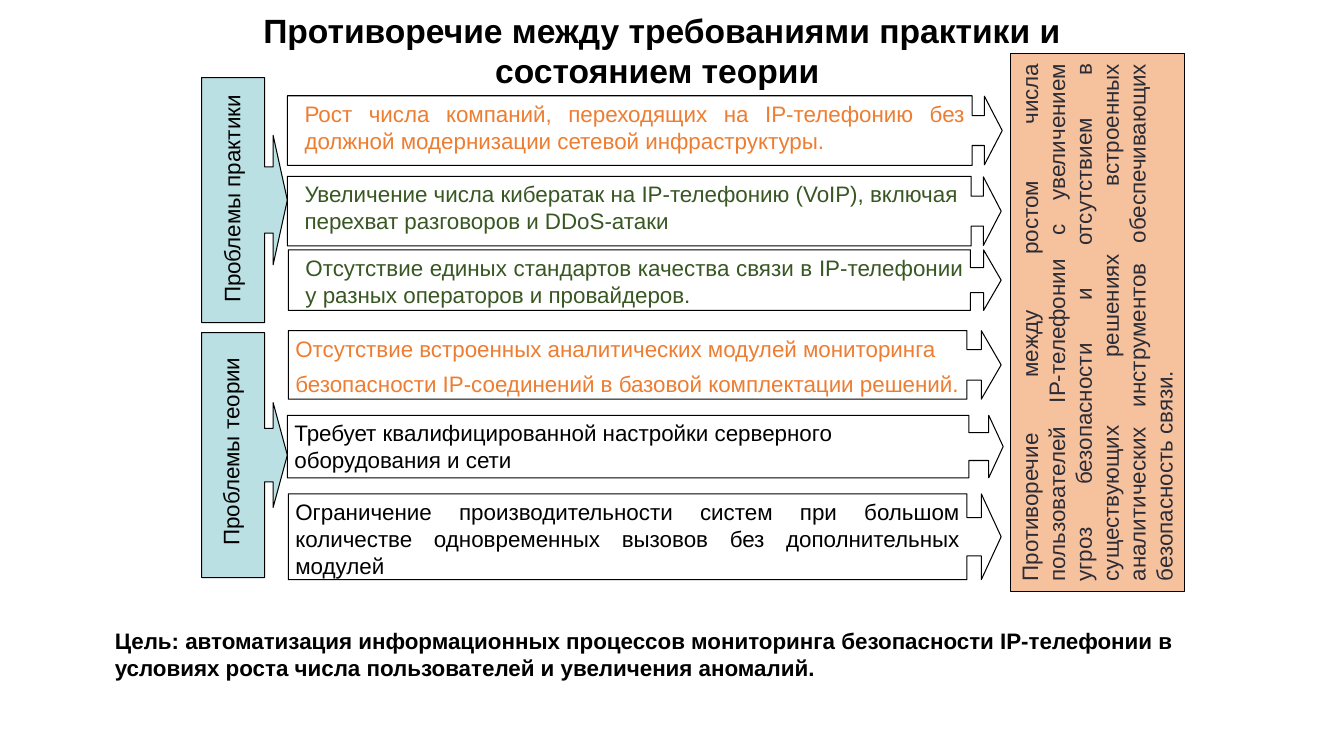
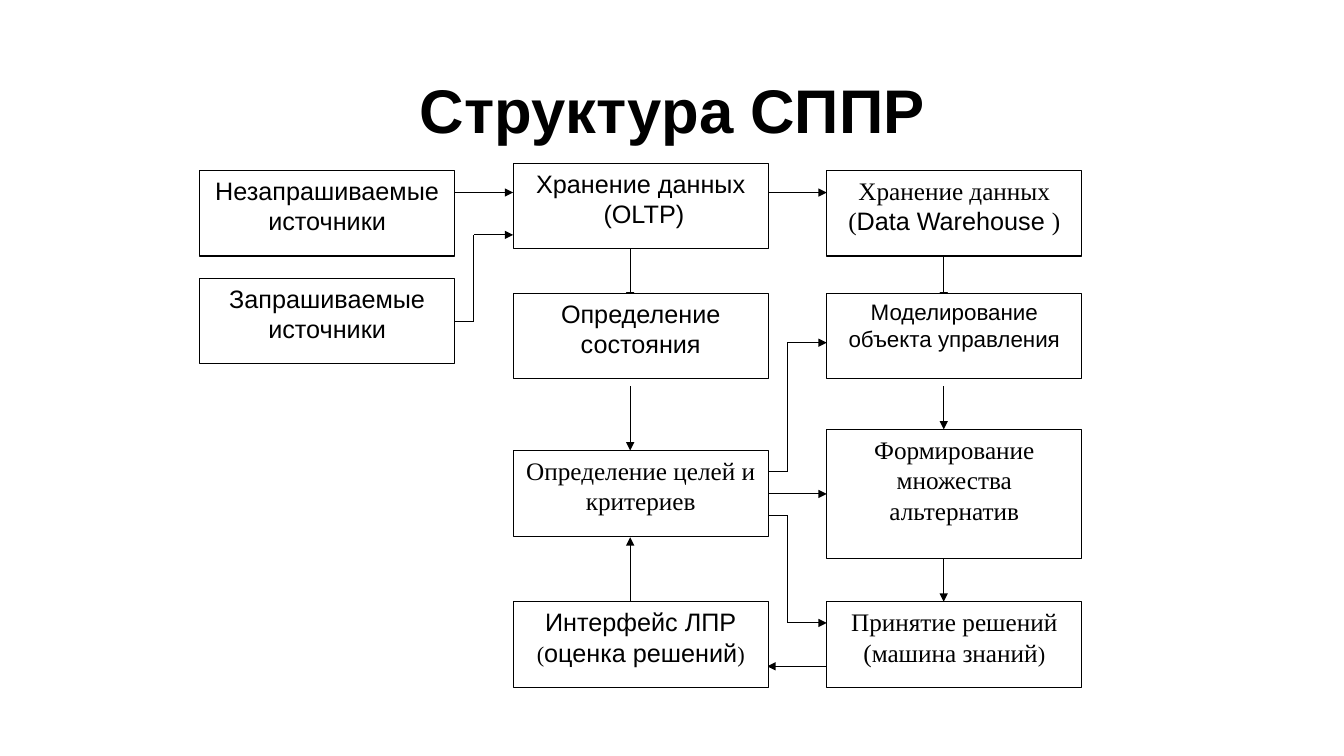
from typing import NamedTuple, Optional

from lxml.etree import SubElement
from pptx import Presentation
from pptx.dml.color import RGBColor
from pptx.enum.shapes import MSO_CONNECTOR as Connector, MSO_SHAPE as Preset
from pptx.enum.text import MSO_ANCHOR as Anchor, PP_ALIGN as Align
from pptx.oxml.ns import qn
from pptx.util import Inches, Pt

COLORS = {
    "black": "000000",
    "white": "FFFFFF",
    "label": "BBE0E3",
    "conclusion": "F4B183",
    "conclusion_text": "2C2C36",
    "orange": "ED7D31",
    "green": "385723",
}
ARIAL, TIMES = "Arial", "Times New Roman"
LINE_WIDTH = Pt(0.75)


class Frame(NamedTuple):
    left: float
    top: float
    width: float
    height: float


class Run(NamedTuple):
    """A stretch of text; the font and size are given only where they differ."""
    text: str
    font: Optional[str] = None
    size: Optional[float] = None


class Style(NamedTuple):
    size: float = 16
    font: str = ARIAL
    color: str = "black"
    bold: bool = False
    align: Align = Align.LEFT
    spacing: Optional[float] = None
    space_after: float = 0


class Callout(NamedTuple):
    frame: Frame
    adjustments: tuple
    paragraphs: list
    style: Style = Style()
    indent: float = 0
    wrap: bool = True


class Label(NamedTuple):
    arrow: Frame
    adjustments: tuple
    text_frame: Frame
    text: str
    align: Align


class Box(NamedTuple):
    column: int
    top: float
    paragraphs: list
    font: str = ARIAL
    size: float = 18
    height: float = 0.85


class Route(NamedTuple):
    points: list
    arrow: bool = True


def rgb(name: str) -> RGBColor:
    return RGBColor.from_string(COLORS[name])


def place(frame: Frame) -> list:
    return [Inches(value) for value in frame]


def write(shape, paragraphs: list, style: Style, margins=(0.1, 0.05, 0.1, 0.05),
          anchor=Anchor.TOP, wrap: bool = True) -> None:
    """Fill a shape with paragraphs, each a string or a list of runs."""
    text_frame = shape.text_frame
    text_frame.word_wrap = wrap
    text_frame.vertical_anchor = anchor
    (text_frame.margin_left, text_frame.margin_top,
     text_frame.margin_right, text_frame.margin_bottom) = map(Inches, margins)
    for index, content in enumerate(paragraphs):
        paragraph = text_frame.add_paragraph() if index else text_frame.paragraphs[0]
        paragraph.alignment = style.align
        paragraph.space_after = Pt(style.space_after)
        if style.spacing:
            paragraph.line_spacing = style.spacing
        font = paragraph.font
        font.name, font.size, font.bold = style.font, Pt(style.size), style.bold
        font.color.rgb = rgb(style.color)
        for part in [Run(content)] if isinstance(content, str) else content:
            run = paragraph.add_run()
            run.text = part.text
            if part.font:
                run.font.name = part.font
            if part.size:
                run.font.size = Pt(part.size)


def add_text(slide, frame: Frame, text: str, style: Style, **options):
    shape = slide.shapes.add_textbox(*place(frame))
    write(shape, [text], style, **options)
    return shape


def add_title(slide, frame: Frame, text: str, size: float, **options) -> None:
    style = Style(size, bold=True, align=Align.CENTER, spacing=0.9 if options else None)
    add_text(slide, frame, text, style, **options)


def add_outlined(slide, preset: Preset, frame: Frame, fill: str = "white", adjustments=()):
    shape = slide.shapes.add_shape(preset, *place(frame))
    shape.shadow.inherit = False
    shape.fill.solid()
    shape.fill.fore_color.rgb = rgb(fill)
    shape.line.color.rgb = rgb("black")
    shape.line.width = LINE_WIDTH
    for index, value in enumerate(adjustments):
        shape.adjustments[index] = value
    return shape


def add_route(slide, route: Route) -> None:
    """Draw straight segments through the points, with an arrowhead on the last."""
    for start, end in zip(route.points, route.points[1:]):
        line = slide.shapes.add_connector(
            Connector.STRAIGHT, *[Inches(value) for value in (*start, *end)])
        line.line.color.rgb = rgb("black")
        line.line.width = LINE_WIDTH
        properties = line._element.spPr
        SubElement(properties, qn("a:effectLst"))
    SubElement(properties.find(qn("a:ln")), qn("a:tailEnd"), type="triangle")


LABELS = [
    Label(Frame(2, 0.77, 0.85, 2.43), (0.772, 0.756, 0.166, 0.734),
          Frame(1.02, 1.84, 2.63, 0.3), "Проблемы практики", Align.LEFT),
    Label(Frame(2, 3.3, 0.85, 2.43), (0.625, 0.612, 0.166, 0.734),
          Frame(0.87, 4.43, 2.91, 0.3), "Проблемы теории", Align.CENTER),
]
CALLOUTS = [
    Callout(Frame(2.85, 0.95, 7.09, 0.69), (0.43, 0.493, 0.256, 0.958),
            ["Рост числа компаний, переходящих на IP-телефонию без должной "
             "модернизации сетевой инфраструктуры."],
            Style(color="orange", align=Align.JUSTIFY), indent=0.1),
    Callout(Frame(2.85, 1.75, 7.08, 0.69), (0.43, 0.493, 0.256, 0.958),
            ["Увеличение числа кибератак на IP-телефонию (VoIP), включая "
             "перехват разговоров и DDoS-атаки"],
            Style(color="green"), indent=0.1),
    Callout(Frame(2.86, 2.48, 7.07, 0.6), (0.416, 0.5, 0.29, 0.957),
            ["Отсутствие единых стандартов качества связи в IP-телефонии "
             "у разных операторов и провайдеров."],
            Style(color="green", align=Align.JUSTIFY), indent=0.1),
    Callout(Frame(2.86, 3.28, 7.07, 0.68), (0.447, 0.5, 0.289, 0.952),
            ["Отсутствие встроенных аналитических модулей мониторинга",
             "безопасности IP-соединений в базовой комплектации решений."],
            Style(color="orange", align=Align.JUSTIFY, space_after=6), wrap=False),
    Callout(Frame(2.85, 4.12, 7.1, 0.62), (0.447, 0.5, 0.231, 0.952),
            ["Требует квалифицированной настройки серверного оборудования и сети"]),
    Callout(Frame(2.86, 4.9, 7.07, 0.85), (0.447, 0.5, 0.231, 0.952),
            ["Ограничение производительности систем при большом количестве "
             "одновременных вызовов без дополнительных модулей"],
            Style(align=Align.JUSTIFY)),
]

COLUMN_LEFT, COLUMN_STEP, BOX_WIDTH = 1.98, 3.11, 2.53
BOXES = [
    Box(0, 1.69, ["Незапрашиваемые источники"]),
    Box(0, 2.76, ["Запрашиваемые источники"]),
    Box(1, 1.62, ["Хранение данных", [Run(" ", TIMES), Run("(OLTP)")]]),
    Box(1, 2.91, ["Определение", "состояния"]),
    Box(1, 4.47, ["Определение целей и критериев"], TIMES),
    Box(1, 5.97, [[Run("Интерфейс ЛПР "), Run("(", TIMES, 16),
                   Run("оценка решений"), Run(")", TIMES, 16)]]),
    Box(2, 1.69, ["Хранение данных",
                  [Run("("), Run("Data Warehouse ", ARIAL), Run(")")]], TIMES),
    Box(2, 2.91, ["Моделирование объекта управления"], size=16),
    Box(2, 4.26, ["Формирование множества альтернатив"], TIMES, height=1.28),
    Box(2, 5.97, [[Run("Принятие решений (машина знаний"), Run(")", size=16)]], TIMES),
]

# Edges of the columns, the turning points between them and the vertical axes.
FIRST_RIGHT, FIRST_TURN, MIDDLE_LEFT = 4.5, 4.7, 5.09
MIDDLE_RIGHT, MIDDLE_TURN, LAST_LEFT = 7.61, 7.81, 8.2
MIDDLE_AXIS, LAST_AXIS = 6.25, 9.36


def across(start: float, end: float, y: float) -> Route:
    return Route([(start, y), (end, y)])


def upright(x: float, start: float, end: float) -> Route:
    return Route([(x, start), (x, end)])


def elbow(start: float, turn: float, end: float, y: float, end_y: float) -> Route:
    return Route([(start, y), (turn, y), (turn, end_y), (end, end_y)])


ROUTES = [
    across(FIRST_RIGHT, MIDDLE_LEFT, 1.91),
    elbow(FIRST_RIGHT, FIRST_TURN, MIDDLE_LEFT, 3.19, 2.33),
    across(MIDDLE_RIGHT, LAST_LEFT, 1.91),
    across(MIDDLE_RIGHT, LAST_LEFT, 4.9),
    across(LAST_LEFT, MIDDLE_RIGHT, 6.61),
    elbow(MIDDLE_RIGHT, MIDDLE_TURN, LAST_LEFT, 4.68, 3.4),
    elbow(MIDDLE_RIGHT, MIDDLE_TURN, LAST_LEFT, 5.11, 6.18),
    upright(MIDDLE_AXIS, 2.33, 2.98),
    upright(MIDDLE_AXIS, 3.83, 4.47),
    upright(MIDDLE_AXIS, 5.97, 5.33),
    upright(LAST_AXIS, 2.33, 2.98),
    upright(LAST_AXIS, 3.83, 4.26),
    upright(LAST_AXIS, 5.54, 5.97),
]


def build_contradiction(slide) -> None:
    add_title(slide, Frame(1.76, 0.05, 9.61, 0.39),
              "Противоречие между требованиями практики и состоянием теории ", 24)
    for label in LABELS:
        add_outlined(slide, Preset.RIGHT_ARROW_CALLOUT, label.arrow, "label",
                     label.adjustments)
        text_box = add_text(slide, label.text_frame, label.text,
                            Style(align=label.align, spacing=Pt(14)),
                            margins=(0.3, 0.05, 0.1, 0.05))
        text_box.rotation = 270
    for callout in CALLOUTS:
        shape = add_outlined(slide, Preset.RIGHT_ARROW_CALLOUT, callout.frame,
                             adjustments=callout.adjustments)
        write(shape, callout.paragraphs, callout.style,
              margins=(0.07 + callout.indent, 0.04, 0.07, 0.04), wrap=callout.wrap)

    conclusion = add_outlined(slide, Preset.RECTANGLE, Frame(8.22, 2.34, 5.33, 1.72),
                              "conclusion")
    conclusion.rotation = 270
    fill_color = conclusion._element.spPr.find(qn("a:solidFill")).find(qn("a:srgbClr"))
    SubElement(fill_color, qn("a:alpha"), val="78000")
    write(conclusion,
          ["Противоречие между ростом числа пользователей IP-телефонии с увеличением "
           "угроз безопасности и отсутствием в существующих решениях встроенных "
           "аналитических инструментов обеспечивающих безопасность связи."],
          Style(color="conclusion_text", align=Align.JUSTIFY))
    add_text(slide, Frame(1.04, 6.17, 11.25, 0.64),
             "Цель: автоматизация информационных процессов мониторинга безопасности "
             "IP-телефонии в условиях роста числа пользователей и увеличения аномалий.",
             Style(bold=True))


def build_structure(slide) -> None:
    add_title(slide, Frame(0.92, 0.4, 11.5, 1.45), "Структура СППР", 44,
              anchor=Anchor.MIDDLE)
    for route in ROUTES:
        add_route(slide, route)
    for box in BOXES:
        left = COLUMN_LEFT + box.column * COLUMN_STEP
        shape = add_outlined(slide, Preset.RECTANGLE,
                             Frame(left, box.top, BOX_WIDTH, box.height))
        write(shape, box.paragraphs, Style(box.size, box.font, align=Align.CENTER))


def main() -> None:
    presentation = Presentation()
    presentation.slide_width, presentation.slide_height = Inches(13.33), Inches(7.5)
    for build in (build_contradiction, build_structure):
        build(presentation.slides.add_slide(presentation.slide_layouts[6]))
    presentation.save("out.pptx")


if __name__ == "__main__":
    main()
